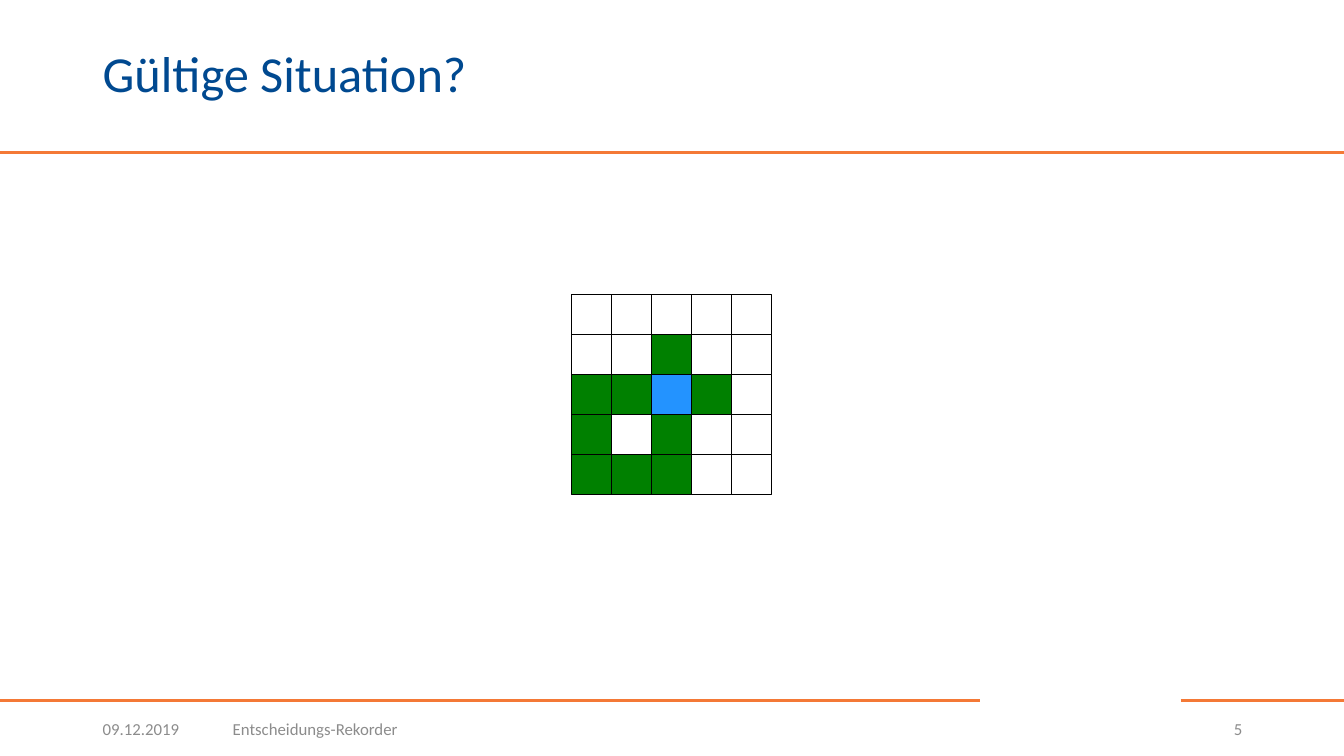
from pptx import Presentation
from pptx import util as u
from pptx.dml.color import RGBColor
from pptx.enum import shapes, text
from pptx.oxml.ns import qn
from lxml import etree

COLS, ROWS = 1333, 750


def rgb(value):
    return RGBColor.from_string(value)


class Deck:
    font = "Calibri"
    accent = "F47936"
    title = "004990"
    muted = "8C8C8C"
    ink = "000000"

    def __init__(self):
        self.prs = Presentation()
        self.prs.slide_width = u.Inches(13.33)
        self.prs.slide_height = u.Inches(7.5)
        self.s = self.prs.slides.add_slide(self.prs.slide_layouts[6])

    def x(self, cols):
        return round(self.prs.slide_width * cols / COLS)

    def y(self, rows):
        return round(self.prs.slide_height * rows / ROWS)

    def box(self, left, top, width, height):
        return self.x(left), self.y(top), self.x(width), self.y(height)

    def rule(self, start, end, row):
        ln = self.s.shapes.add_connector(
            shapes.MSO_CONNECTOR.STRAIGHT,
            self.x(start), self.y(row), self.x(end), self.y(row))
        ln.line.color.rgb = rgb(self.accent)
        ln.line.width = u.Pt(2)
        etree.SubElement(ln._element.spPr, qn("a:effectLst"))

    def tile(self, left, top, size, fill):
        sp = self.s.shapes.add_shape(
            shapes.MSO_SHAPE.RECTANGLE, *self.box(left, top, size, size))
        sp.shadow.inherit = False
        sp.fill.solid()
        sp.fill.fore_color.rgb = rgb(fill)
        sp.line.color.rgb = rgb(self.ink)
        sp.line.width = u.Pt(1)

    def board(self, left, top, pitch, pattern, fills):
        for row, line in enumerate(pattern):
            for col, key in enumerate(line):
                self.tile(left + col * pitch, top + row * pitch, pitch, fills[key])

    def text(self, words, frame, size, color, **para):
        tf = self.s.shapes.add_textbox(*self.box(*frame)).text_frame
        tf.word_wrap = True
        tf.vertical_anchor = text.MSO_ANCHOR.MIDDLE
        p = tf.paragraphs[0]
        for name, value in para.items():
            setattr(p, name, value)
        r = p.add_run()
        r.text = words
        for name, value in {"name": self.font, "size": u.Pt(size)}.items():
            setattr(r.font, name, value)
        r.font.color.rgb = rgb(color)


def main():
    d = Deck()
    for start, end, row in [(0, COLS, 151), (0, 972, 695), (1171, COLS, 695)]:
        d.rule(start, end, row)

    pattern = [".....", "..G..", "GGBG.", "G.G..", "GGG.."]
    fills = {".": "FFFFFF", "G": "008000", "B": "2393FF"}
    d.board(567, 292, 39.7, pattern, fills)

    d.text("Gültige Situation?", (92, 17, 1150, 118), 36, d.title, line_spacing=0.9)
    footer = [
        ("09.12.2019", 92, 117, text.PP_ALIGN.LEFT),
        ("Entscheidungs-Rekorder", 221, 926, text.PP_ALIGN.LEFT),
        ("5", 1163, 79, text.PP_ALIGN.RIGHT),
    ]
    for words, left, width, align in footer:
        d.text(words, (left, 703, width, 40), 12, d.muted, alignment=align)

    d.prs.save("out.pptx")


if __name__ == "__main__":
    main()
